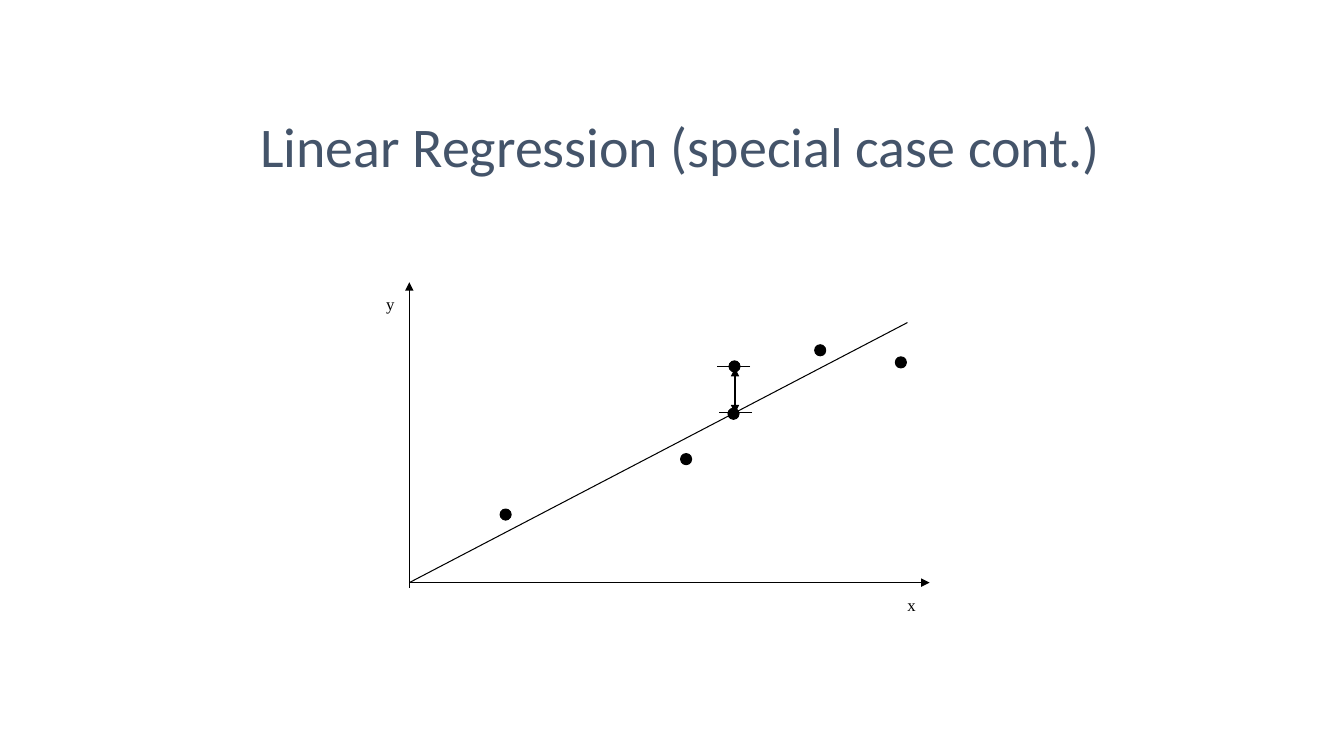
from pptx import Presentation
from pptx import util as u
from pptx.dml.color import RGBColor
from pptx.enum import shapes, text
from pptx.oxml.ns import qn
from lxml import etree

BLACK = RGBColor(0, 0, 0)
SLATE = RGBColor(0x44, 0x54, 0x6A)
PX = 9144
DOT = 11

TITLE = "Linear Regression (special case cont.)"
LINES = [
    ((406, 280), (406, 583), ["headEnd"]),
    ((406, 578), (922, 578), ["tailEnd"]),
    ((406, 578), (900, 320), []),
    ((729, 410), (729, 365), ["headEnd", "tailEnd"]),
    ((746, 409), (713, 409), []),
    ((744, 364), (711, 364), []),
]
LABELS = [("x", (900, 590, 11, 22)), ("y", (383, 291, 11, 34))]
DOTS = [(496, 505), (722, 405), (723, 358), (888, 354), (808, 342), (675, 450)]


def emu(vals):
    return [u.Emu(v * PX) for v in vals]


def write(frame, words, font, size, color):
    run = frame.paragraphs[0].add_run()
    run.text = words
    run.font.name = font
    run.font.size = u.Pt(size)
    run.font.color.rgb = color


def draw_line(slide, start, end, heads):
    line = slide.shapes.add_connector(
        shapes.MSO_CONNECTOR.STRAIGHT, *emu(start + end))
    line.line.color.rgb = BLACK
    line.line.width = u.Pt(0.75)
    props = line.line._get_or_add_ln()
    for head in heads:
        etree.SubElement(props, qn("a:" + head), type="triangle")
    etree.SubElement(line._element.spPr, qn("a:effectLst"))


def draw_dot(slide, spot):
    dot = slide.shapes.add_shape(
        shapes.MSO_SHAPE.OVAL, *emu(spot + (DOT, DOT)))
    dot.shadow.inherit = False
    dot.fill.solid()
    dot.fill.fore_color.rgb = BLACK
    dot.line.color.rgb = BLACK
    dot.line.width = u.Pt(0.75)


def draw_label(slide, words, box):
    frame = slide.shapes.add_textbox(*emu(box)).text_frame
    frame.margin_left = frame.margin_right = 0
    frame.margin_top = frame.margin_bottom = 0
    frame.word_wrap = False
    write(frame, words, "Times New Roman", 12, BLACK)


def set_title(slide):
    title = slide.shapes.title
    title.left, title.top, title.width, title.height = emu((183, 58, 983, 125))
    frame = title.text_frame
    frame.vertical_anchor = text.MSO_ANCHOR.BOTTOM
    frame.word_wrap = True
    frame.paragraphs[0].alignment = text.PP_ALIGN.CENTER
    frame.paragraphs[0].line_spacing = 0.9
    write(frame, TITLE, "Calibri", 40, SLATE)


def main():
    deck = Presentation()
    deck.slide_width, deck.slide_height = emu((1333, 750))
    slide = deck.slides.add_slide(deck.slide_layouts[5])
    set_title(slide)
    for start, end, heads in LINES:
        draw_line(slide, start, end, heads)
    for spot in DOTS:
        draw_dot(slide, spot)
    for words, box in LABELS:
        draw_label(slide, words, box)
    deck.save("out.pptx")


if __name__ == "__main__":
    main()
